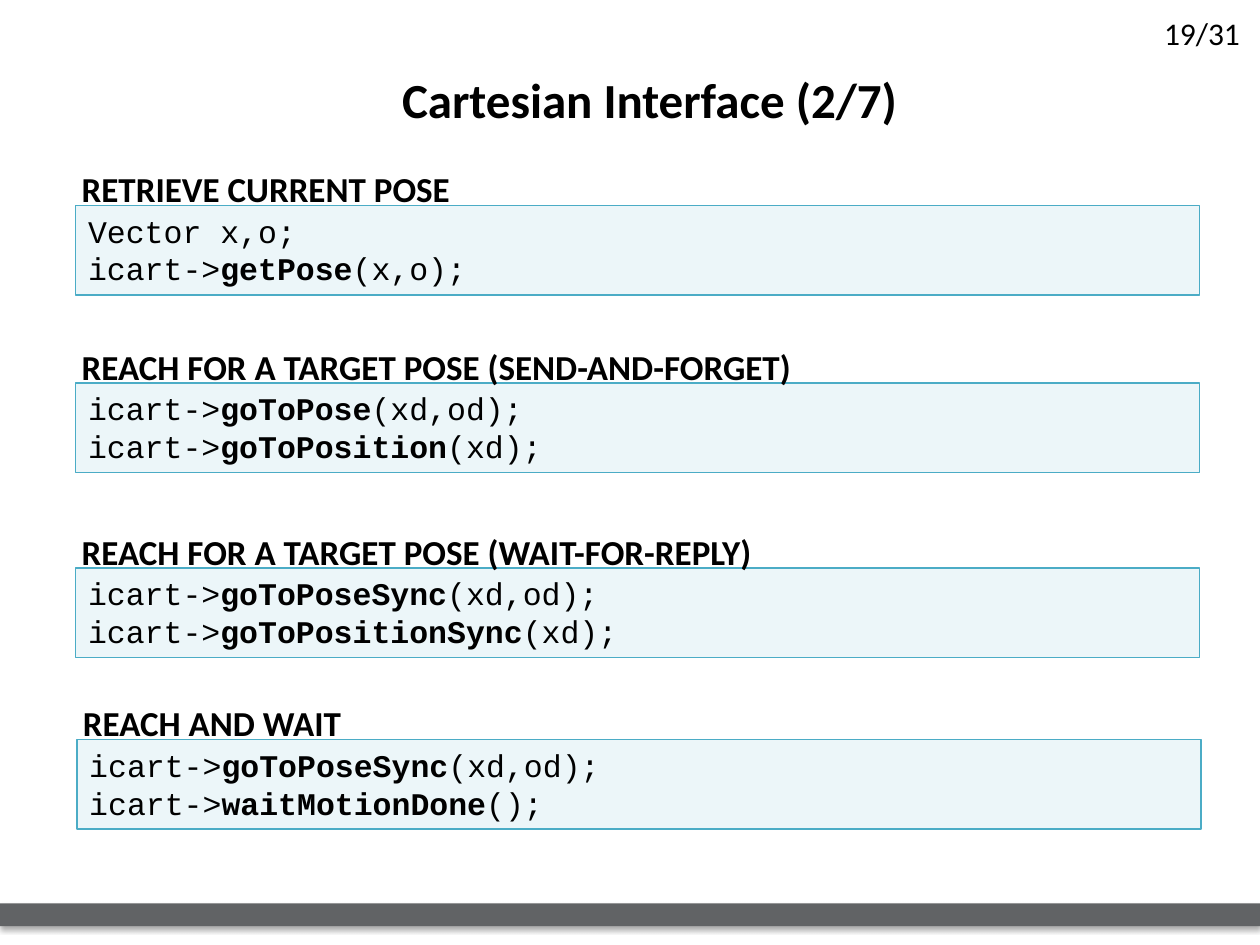
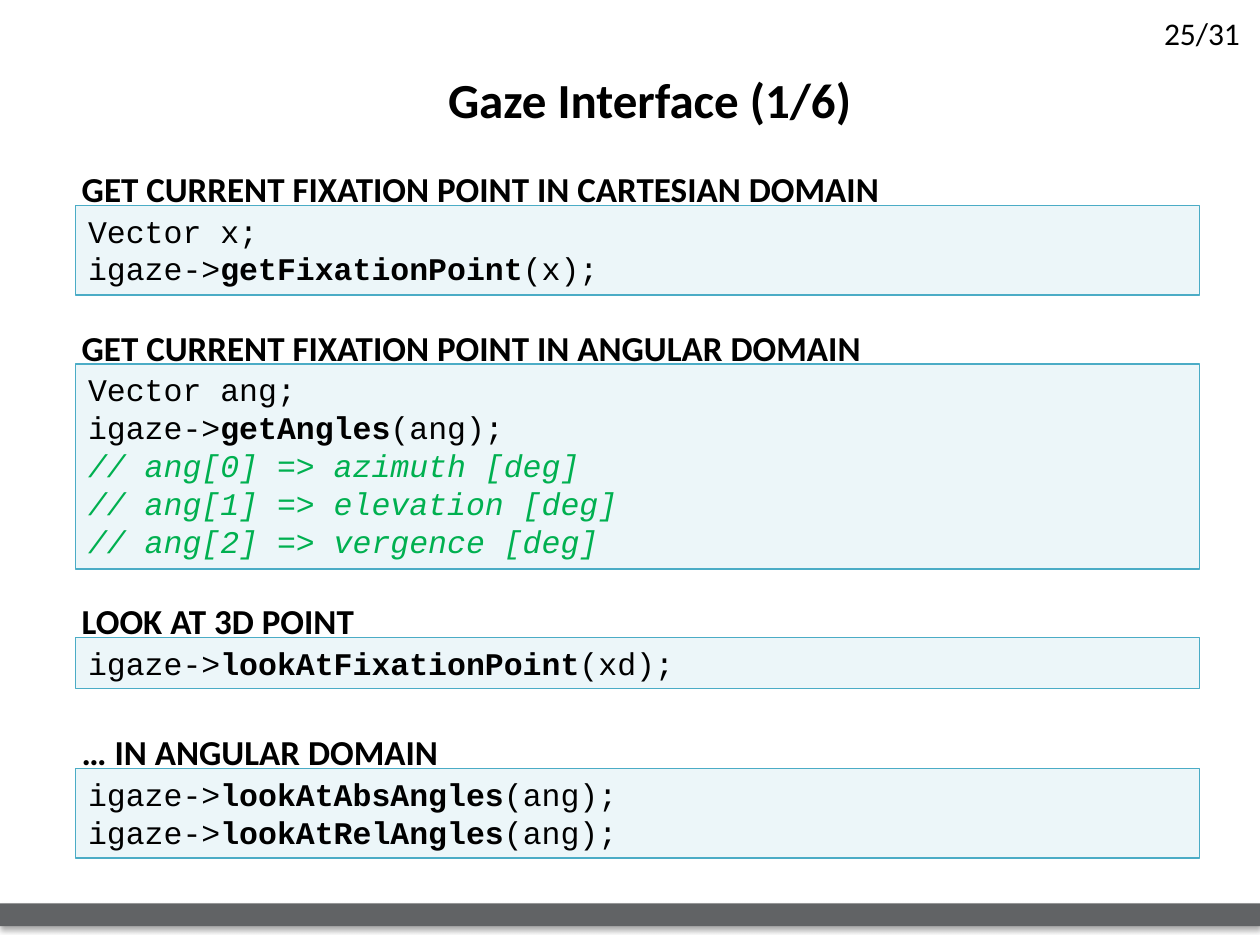
from pptx import Presentation
from pptx.dml.color import RGBColor
from pptx.enum.shapes import MSO_SHAPE
from pptx.enum.text import MSO_ANCHOR, MSO_AUTO_SIZE, PP_ALIGN
from pptx.oxml.ns import qn
from pptx.util import Inches, Pt
from lxml.etree import SubElement

BLACK = RGBColor(0x00, 0x00, 0x00)
BAND_GREY = RGBColor(0x61, 0x63, 0x65)
CODE_FILL = RGBColor(0xDB, 0xEE, 0xF4)
CODE_LINE = RGBColor(0x4B, 0xAC, 0xC6)
COMMENT_GREEN = RGBColor(0x00, 0xB0, 0x50)
TEXT_FONT, CODE_FONT = "Calibri", "Courier New"

SLIDE_WIDTH, SLIDE_HEIGHT = 10, 7.5
CODE_WIDTH = 8.92
LINE_HEIGHT, CODE_PADDING = 0.305, 0.1
HEADING_RISE, HEADING_INDENT, HEADING_HEIGHT = 0.35, -0.05, 0.44
PAGE_COUNT = 31

# Section: left, top of the code box, heading, heading width, code lines.
# Code line: plain text, or (object, method, arguments).
CARTESIAN_SECTIONS = [
    (0.6, 1.63, "RETRIEVE CURRENT POSE", 3.15,
     ["Vector x,o;", ("icart", "getPose", "x,o")]),
    (0.6, 3.04, "REACH FOR A TARGET POSE (SEND-AND-FORGET)", 5.88,
     [("icart", "goToPose", "xd,od"), ("icart", "goToPosition", "xd")]),
    (0.6, 4.51, "REACH FOR A TARGET POSE (WAIT-FOR-REPLY)", 5.58,
     [("icart", "goToPoseSync", "xd,od"), ("icart", "goToPositionSync", "xd")]),
    (0.61, 5.87, "REACH AND WAIT", 2.33,
     [("icart", "goToPoseSync", "xd,od"), ("icart", "waitMotionDone", "")]),
]
GAZE_SECTIONS = [
    (0.6, 1.63, "GET CURRENT FIXATION POINT IN CARTESIAN DOMAIN", 6.58,
     ["Vector x;", ("igaze", "getFixationPoint", "x")]),
    (0.6, 2.89, "GET CURRENT FIXATION POINT IN ANGULAR DOMAIN", 6.43,
     ["Vector ang;", ("igaze", "getAngles", "ang"),
      "// ang[0] => azimuth [deg]",
      "// ang[1] => elevation [deg]",
      "// ang[2] => vergence [deg]"]),
    (0.6, 5.06, "LOOK AT 3D POINT", 2.38,
     [("igaze", "lookAtFixationPoint", "xd")]),
    (0.6, 6.1, "… IN ANGULAR DOMAIN", 3.05,
     [("igaze", "lookAtAbsAngles", "ang"), ("igaze", "lookAtRelAngles", "ang")]),
]


def add_run(paragraph, text, size, font=TEXT_FONT, color=BLACK, bold=False, italic=False):
    run = paragraph.add_run()
    run.text = text
    run.font.name = font
    run.font.size = Pt(size)
    run.font.color.rgb = color
    run.font.bold = bold
    run.font.italic = italic


def add_label(shapes, box, text, size, bold=False, align=PP_ALIGN.LEFT, wrap=True):
    """Add a one-line text box; box is left, top, width, height in inches."""
    frame = shapes.add_textbox(*map(Inches, box)).text_frame
    frame.word_wrap = wrap
    frame.auto_size = MSO_AUTO_SIZE.SHAPE_TO_FIT_TEXT
    frame.paragraphs[0].alignment = align
    add_run(frame.paragraphs[0], text, size, bold=bold)


def add_rectangle(shapes, box, fill):
    rectangle = shapes.add_shape(MSO_SHAPE.RECTANGLE, *map(Inches, box))
    rectangle.shadow.inherit = False
    rectangle.fill.solid()
    rectangle.fill.fore_color.rgb = fill
    return rectangle


def set_alpha(color_element, percent):
    SubElement(color_element, qn("a:alpha"), val=str(percent * 1000))


def add_footer_band(slide):
    band = add_rectangle(slide.shapes, (0, 7.17, SLIDE_WIDTH, 0.18), BAND_GREY)
    band.line.fill.background()
    effects = band._element.spPr.find(qn("a:effectLst"))
    shadow = SubElement(effects, qn("a:outerShdw"), blurRad=str(Pt(3.1)),
                        dist=str(Pt(1.8)), dir="5400000", rotWithShape="0")
    set_alpha(SubElement(shadow, qn("a:srgbClr"), val=str(BLACK)), 35)


def write_code_line(paragraph, line):
    paragraph.alignment = PP_ALIGN.LEFT
    if isinstance(line, tuple):
        owner, method, arguments = line
        add_run(paragraph, f"{owner}->", 18, CODE_FONT)
        add_run(paragraph, method, 18, CODE_FONT, bold=True)
        add_run(paragraph, f"({arguments});", 18, CODE_FONT)
    elif line.startswith("//"):
        add_run(paragraph, line, 18, CODE_FONT, COMMENT_GREEN, italic=True)
    else:
        add_run(paragraph, line, 18, CODE_FONT)


def add_code_box(shapes, left, top, lines):
    height = len(lines) * LINE_HEIGHT + CODE_PADDING
    code = add_rectangle(shapes, (left, top, CODE_WIDTH, height), CODE_FILL)
    set_alpha(code._element.spPr.find(f"{qn('a:solidFill')}/{qn('a:srgbClr')}"), 50)
    code.line.color.rgb = CODE_LINE
    code.line.width = Pt(1)
    frame = code.text_frame
    frame.word_wrap = True
    frame.auto_size = MSO_AUTO_SIZE.SHAPE_TO_FIT_TEXT
    frame.vertical_anchor = MSO_ANCHOR.TOP
    for index, line in enumerate(lines):
        paragraph = frame.add_paragraph() if index else frame.paragraphs[0]
        write_code_line(paragraph, line)


def add_section(slide, left, top, heading, heading_width, lines):
    """Group a code box with the heading that sits on its upper edge."""
    section = slide.shapes.add_group_shape().shapes
    add_code_box(section, left, top, lines)
    heading_box = (left + HEADING_INDENT, top - HEADING_RISE, heading_width, HEADING_HEIGHT)
    add_label(section, heading_box, heading, 20, bold=True, wrap=False)


def add_interface_slide(deck, page, title, sections):
    slide = deck.slides.add_slide(deck.slide_layouts[6])
    add_footer_band(slide)
    add_label(slide.shapes, (9.14, 0.06, 0.9, 0.4), f"{page}/{PAGE_COUNT}", 18)
    add_label(slide.shapes, (1.61, 0.5, 7.09, 0.57), title, 28, bold=True,
              align=PP_ALIGN.CENTER)
    for section in sections:
        add_section(slide, *section)


def main():
    deck = Presentation()
    deck.slide_width, deck.slide_height = Inches(SLIDE_WIDTH), Inches(SLIDE_HEIGHT)
    add_interface_slide(deck, 19, "Cartesian Interface (2/7)", CARTESIAN_SECTIONS)
    add_interface_slide(deck, 25, "Gaze Interface (1/6)", GAZE_SECTIONS)
    deck.save("out.pptx")


if __name__ == "__main__":
    main()
